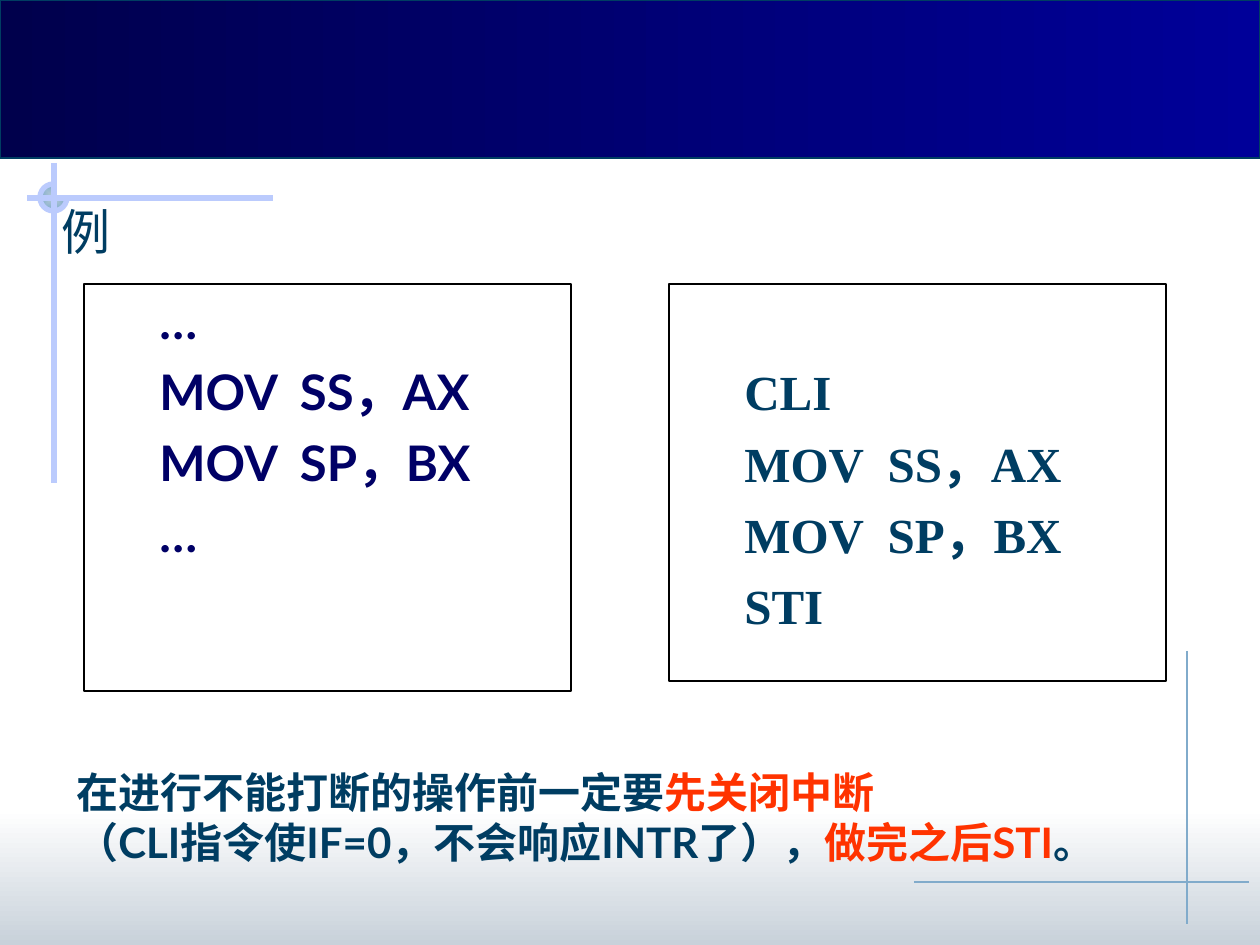
from lxml import etree
from pptx import Presentation
from pptx import util as u
from pptx.dml.color import RGBColor
from pptx.enum import shapes, text
from pptx.oxml import ns

SCALE = 914400 / 126
WHITE = RGBColor(0xFF, 0xFF, 0xFF)
BLACK = RGBColor(0, 0, 0)
MIST = RGBColor(0xC8, 0xD1, 0xDA)
PALE = RGBColor(0xB6, 0xCB, 0xD6)
STEEL = RGBColor(0x81, 0xAB, 0xCB)
LILAC = RGBColor(0xBB, 0xCB, 0xFD)
BLUE = RGBColor(0, 0, 0x99)
NIGHT = RGBColor(0, 0, 0x4C)
NAVY = RGBColor(0, 0, 0x66)
TEAL = RGBColor(0, 0x3D, 0x62)
RED = RGBColor(0xFF, 0x33, 0)


def px(*lengths):
    return [u.Emu(round(length * SCALE)) for length in lengths]


def write(para, content, size=28, font="Lato", color=TEAL, bold=True, left=0, indent=0, before=0):
    margin, hang = px(left, indent)
    properties = para._p.get_or_add_pPr()
    properties.set("marL", str(margin))
    properties.set("indent", str(hang))
    para.space_before = u.Pt(before)
    span = para.add_run()
    span.text = content
    span.font.size = u.Pt(size)
    span.font.name = font
    span.font.bold = bold
    span.font.color.rgb = color


deck = Presentation()
deck.slide_width, deck.slide_height = px(1260, 945)
page = deck.slides.add_slide(deck.slide_layouts[5])

lines = [
    (1187, 651, 1187, 924, STEEL, 0.75),
    (273, 198, 27, 198, LILAC, 3),
    (54, 163, 54, 483, LILAC, 3),
    (914, 882, 1249, 882, STEEL, 0.75),
]
gradients = [
    (shapes.MSO_SHAPE.RECTANGLE, (0, 809, 1260, 136), WHITE, MIST, 270),
    (shapes.MSO_SHAPE.RECTANGLE, (0, 0, 1260, 158), BLUE, NIGHT, 180),
    (shapes.MSO_SHAPE.PIE, (40, 184, 27, 27), PALE, STEEL, 0),
]

for kind, place, start, end, angle in gradients:
    panel = page.shapes.add_shape(kind, *px(*place))
    panel.shadow.inherit = False
    panel.fill.gradient()
    panel.fill.gradient_angle = angle
    for stop, color, position in zip(panel.fill.gradient_stops, (start, end), (0, 1)):
        stop.color.rgb = color
        stop.position = position
    if end == NIGHT:
        panel.line.color.rgb = TEAL
        panel.line.width = u.Pt(0.75)
    else:
        panel.line.fill.background()

linear = panel._element.spPr.find(".//" + ns.qn("a:lin"))
radial = etree.Element(ns.qn("a:path"), {"path": "rect"})
etree.SubElement(radial, ns.qn("a:fillToRect"), {side: "50000" for side in "ltrb"})
linear.getparent().replace(linear, radial)

for x1, y1, x2, y2, color, width in lines:
    rule = page.shapes.add_connector(shapes.MSO_CONNECTOR.STRAIGHT, *px(x1, y1, x2, y2))
    rule.line.color.rgb = color
    rule.line.width = u.Pt(width)
    etree.SubElement(rule._element.spPr, ns.qn("a:effectLst"))

ring = page.shapes.add_shape(shapes.MSO_SHAPE.ARC, *px(40, 184, 27, 27))
ring.adjustments[0] = 0
ring.adjustments[1] = 162
ring.shadow.inherit = False
ring.fill.background()
ring.line.color.rgb = LILAC
ring.line.width = u.Pt(3)

listings = [
    ((84, 284, 487, 407), 6, ["…", "MOV  SS，AX", "MOV  SP，BX", "…"],
     dict(color=NAVY, left=102, indent=-39, before=7)),
    ((669, 284, 497, 397), 78, ["CLI", "MOV  SS，AX", "MOV  SP，BX", "STI"],
     dict(font="Times New Roman", left=63, before=7)),
]
for place, top, code, style in listings:
    box = page.shapes.add_shape(shapes.MSO_SHAPE.RECTANGLE, *px(*place))
    box.shadow.inherit = False
    box.fill.solid()
    box.fill.fore_color.rgb = WHITE
    box.line.color.rgb = BLACK
    box.line.width = u.Pt(0.75)
    frame = box.text_frame
    frame.vertical_anchor = text.MSO_ANCHOR.TOP
    frame.margin_top = px(top)[0]
    for number, content in enumerate(code):
        para = frame.add_paragraph() if number else frame.paragraphs[0]
        para.alignment = text.PP_ALIGN.LEFT
        write(para, content, **style)

note = page.shapes.add_textbox(*px(64, 760, 1111, 113))
note.text_frame.word_wrap = True
sentences = [
    [("在进行不能打断的操作前一定要", TEAL), ("先关闭中断", RED)],
    [("（CLI指令使IF=0，不会响应INTR了），", TEAL), ("做完之后STI", RED), ("。", TEAL)],
]
for number, sentence in enumerate(sentences):
    para = note.text_frame.add_paragraph() if number else note.text_frame.paragraphs[0]
    for content, color in sentence:
        write(para, content, size=24, color=color, left=48, indent=-48)

title = page.shapes.title
title.left, title.top, title.width, title.height = px(49, 207, 169, 60)
frame = title.text_frame
frame.auto_size = text.MSO_AUTO_SIZE.NONE
frame.word_wrap = False
frame.vertical_anchor = text.MSO_ANCHOR.TOP
para = frame.paragraphs[0]
para.alignment = text.PP_ALIGN.LEFT
para.line_spacing = 0.8
write(para, "例", bold=False, left=48, indent=-48, before=7)

deck.save("out.pptx")
